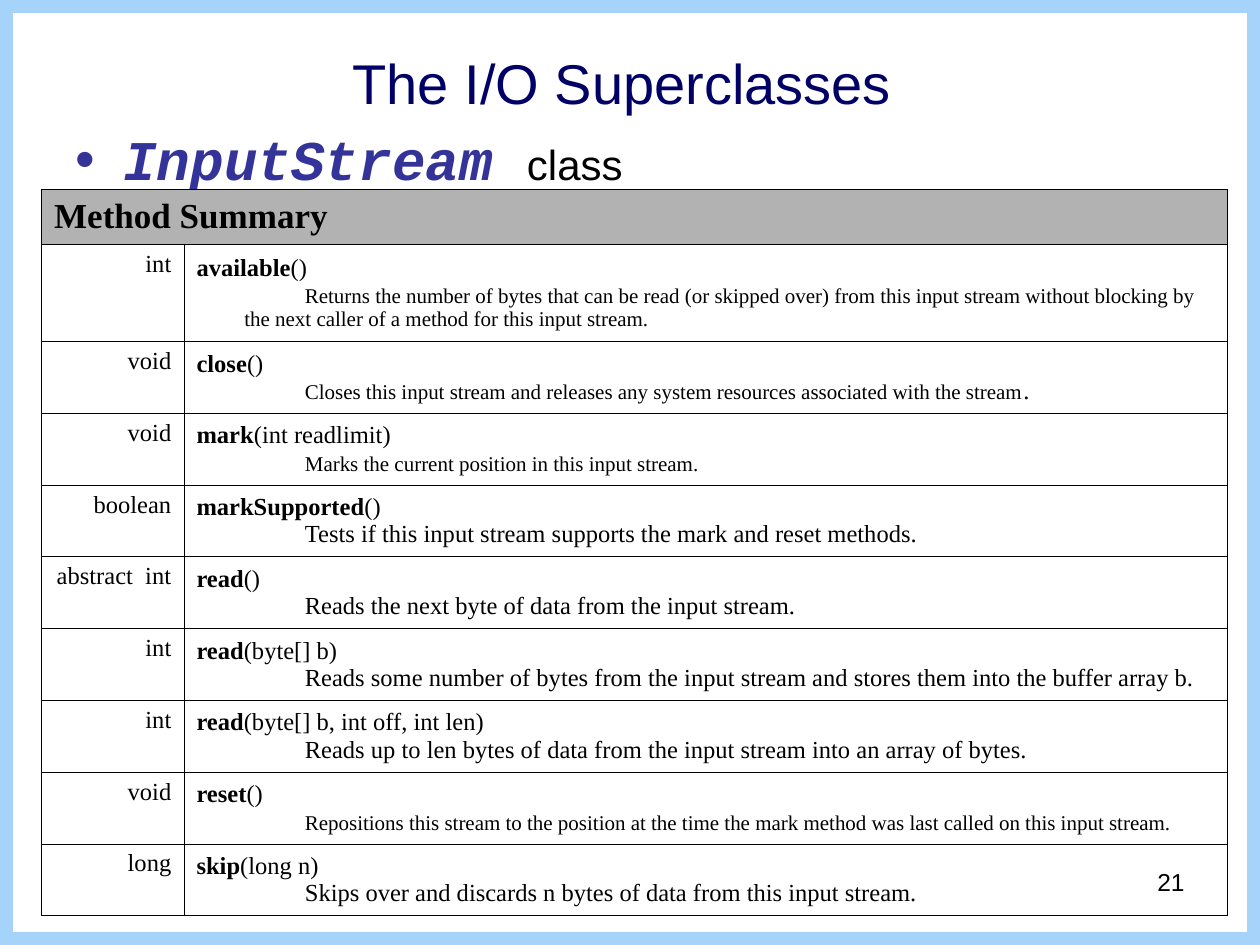
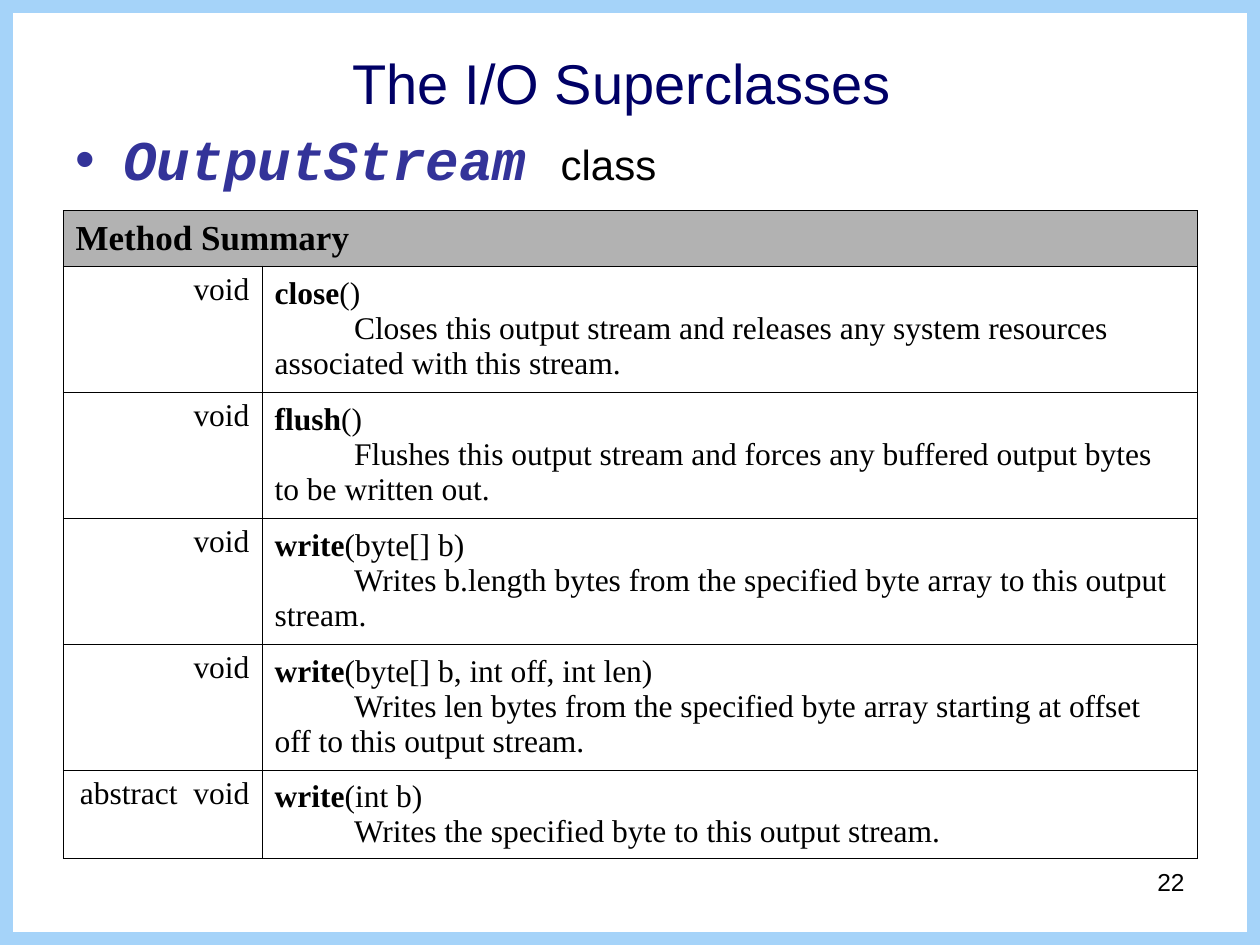
from dataclasses import dataclass

from lxml.etree import SubElement
from pptx import Presentation
from pptx.dml.color import RGBColor
from pptx.enum.shapes import MSO_SHAPE
from pptx.enum.text import MSO_ANCHOR as Anchor, PP_ALIGN as Align
from pptx.oxml.ns import qn
from pptx.util import Inches, Pt

NAVY = RGBColor(0x00, 0x00, 0x66)
INDIGO = RGBColor(0x33, 0x33, 0x99)
SKY = RGBColor(0xA5, 0xD3, 0xF9)
GRAY = RGBColor(0xB2, 0xB2, 0xB2)
BLACK = RGBColor(0x00, 0x00, 0x00)
WHITE = RGBColor(0xFF, 0xFF, 0xFF)
SANS, MONO, SERIF = "Arial", "Courier New", "Times New Roman"
BORDER_WIDTH = Pt(0.34)


@dataclass
class Method:
    returns: str
    name: str
    parameters: str
    purpose: str
    purpose_size: int = 0
    ending: str = ""


@dataclass
class Summary:
    left: float
    top: float
    columns: tuple
    rows: tuple
    size: int
    hang: float
    first_line: float
    methods: list


INPUT_SUMMARY = Summary(
    0.33, 1.5, (1.13, 8.28), (0.44, 0.77) + (0.57,) * 8, 14, 0.38, 0.48,
    [
        Method("int", "available", "()",
               "Returns the number of bytes that can be read (or skipped over) from this input "
               "stream without blocking by the next caller of a method for this input stream.", 12),
        Method("void", "close", "()",
               "Closes this input stream and releases any system resources associated with "
               "the stream", 12, "."),
        Method("void", "mark", "(int readlimit)",
               "Marks the current position in this input stream.", 12),
        Method("boolean", "markSupported", "()",
               "Tests if this input stream supports the mark and reset methods."),
        Method("abstract  int", "read", "()",
               "Reads the next byte of data from the input stream."),
        Method("int", "read", "(byte[] b)",
               "Reads some number of bytes from the input stream and stores them into the "
               "buffer array b."),
        Method("int", "read", "(byte[] b, int off, int len)",
               "Reads up to len bytes of data from the input stream into an array of bytes."),
        Method("void", "reset", "()",
               "Repositions this stream to the position at the time the mark method was last "
               "called on this input stream.", 12),
        Method("long", "skip", "(long n)",
               "Skips over and discards n bytes of data from this input stream."),
    ])

OUTPUT_SUMMARY = Summary(
    0.5, 1.67, (1.58, 7.42), (0.44, 1, 1, 1, 1, 0.7), 18, 0, 0.63,
    [
        Method("void", "close", "()",
               "Closes this output stream and releases any system resources associated with "
               "this stream."),
        Method("void", "flush", "()",
               "Flushes this output stream and forces any buffered output bytes to be written out."),
        Method("void", "write", "(byte[] b)",
               "Writes b.length bytes from the specified byte array to this output stream."),
        Method("void", "write", "(byte[] b, int off, int len)",
               "Writes len bytes from the specified byte array starting at offset off to this "
               "output stream."),
        Method("abstract  void", "write", "(int b)",
               "Writes the specified byte to this output stream."),
    ])


def write(paragraph, text, *, size, font=SERIF, color=BLACK, bold=False, italic=False,
          align=Align.LEFT):
    paragraph.alignment = align
    run = paragraph.add_run()
    run.text = text
    run.font.size = Pt(size)
    run.font.name = font
    run.font.color.rgb = color
    run.font.bold = bold
    run.font.italic = italic


def set_indent(paragraph, margin, first_line):
    properties = paragraph._p.get_or_add_pPr()
    properties.set("marL", str(Inches(margin)))
    properties.set("indent", str(Inches(first_line)))
    return properties


def place(shape, left, top, width, height):
    shape.left, shape.top = Inches(left), Inches(top)
    shape.width, shape.height = Inches(width), Inches(height)


def add_text_area(slide, left, top, width, height):
    area = slide.shapes.add_textbox(Inches(left), Inches(top), Inches(width), Inches(height))
    area.text_frame.word_wrap = True
    return area.text_frame.paragraphs[0]


def add_frame(slide, deck):
    frame = slide.shapes.add_shape(MSO_SHAPE.RECTANGLE, 0, 0, deck.slide_width, deck.slide_height)
    frame.shadow.inherit = False
    frame.fill.background()
    frame.line.color.rgb = SKY
    frame.line.width = Pt(15)


def add_title(slide, text):
    title = slide.shapes.title
    place(title, 0.5, 0.3, 9, 0.7)
    title.text_frame.vertical_anchor = Anchor.MIDDLE
    write(title.text_frame.paragraphs[0], text, size=32, font=SANS, color=NAVY,
          align=Align.CENTER)


def add_class_heading(slide, class_name):
    heading = add_text_area(slide, 0.5, 1, 9, 0.58)
    heading.line_spacing = 0.9
    heading.space_before = Pt(6)
    properties = set_indent(heading, 0.38, -0.38)
    bullet_color = SubElement(properties, qn("a:buClr"))
    SubElement(bullet_color, qn("a:srgbClr"), val=str(INDIGO))
    SubElement(properties, qn("a:buFont"), typeface=SANS)
    SubElement(properties, qn("a:buChar"), char="•")
    write(heading, f"{class_name} ", size=32, font=MONO, color=INDIGO, bold=True, italic=True)
    write(heading, "class", size=24, font=SANS)


def format_cell(cell, fill, anchor):
    properties = cell._tc.get_or_add_tcPr()
    for side in ("lnL", "lnR", "lnT", "lnB"):
        border = SubElement(properties, qn(f"a:{side}"), w=str(BORDER_WIDTH))
        border_fill = SubElement(border, qn("a:solidFill"))
        SubElement(border_fill, qn("a:srgbClr"), val=str(BLACK))
    cell.fill.solid()
    cell.fill.fore_color.rgb = fill
    cell.vertical_anchor = anchor


def write_method(cell, method, summary):
    signature = cell.text_frame.paragraphs[0]
    write(signature, method.name, size=summary.size, bold=True)
    write(signature, method.parameters, size=summary.size)
    purpose = cell.text_frame.add_paragraph()
    set_indent(purpose, summary.hang, summary.first_line)
    write(purpose, method.purpose, size=method.purpose_size or summary.size)
    if method.ending:
        write(purpose, method.ending, size=summary.size)
    elif method.purpose_size:
        purpose.space_before = Pt(summary.size - method.purpose_size)


def add_summary(slide, summary):
    table = slide.shapes.add_table(
        len(summary.rows), len(summary.columns), Inches(summary.left), Inches(summary.top),
        Inches(sum(summary.columns)), Inches(sum(summary.rows))).table
    table.first_row = False
    table.horz_banding = False
    for column, width in zip(table.columns, summary.columns):
        column.width = Inches(width)
    for row, height in zip(table.rows, summary.rows):
        row.height = Inches(height)

    header, header_end = table.rows[0].cells
    for cell in (header, header_end):
        format_cell(cell, GRAY, Anchor.MIDDLE)
    header.merge(header_end)
    write(header.text_frame.paragraphs[0], "Method Summary", size=20, bold=True)

    for row_number, method in enumerate(summary.methods, 1):
        returns, details = table.rows[row_number].cells
        format_cell(returns, WHITE, Anchor.TOP)
        format_cell(details, WHITE, Anchor.MIDDLE)
        write(returns.text_frame.paragraphs[0], method.returns, size=summary.size,
              align=Align.RIGHT)
        write_method(details, method, summary)


def add_page_number(slide, number):
    write(add_text_area(slide, 7.17, 6.83, 2.33, 0.52), str(number), size=14, font=SANS,
          align=Align.RIGHT)


def add_class_slide(deck, class_name, summary, number):
    slide = deck.slides.add_slide(deck.slide_layouts.get_by_name("Title Only"))
    add_frame(slide, deck)
    add_title(slide, "The I/O Superclasses ")
    add_class_heading(slide, class_name)
    add_summary(slide, summary)
    add_page_number(slide, number)


def main():
    deck = Presentation()
    deck.slide_width, deck.slide_height = Inches(10), Inches(7.5)
    add_class_slide(deck, "InputStream", INPUT_SUMMARY, 21)
    add_class_slide(deck, "OutputStream", OUTPUT_SUMMARY, 22)
    deck.save("out.pptx")


if __name__ == "__main__":
    main()
